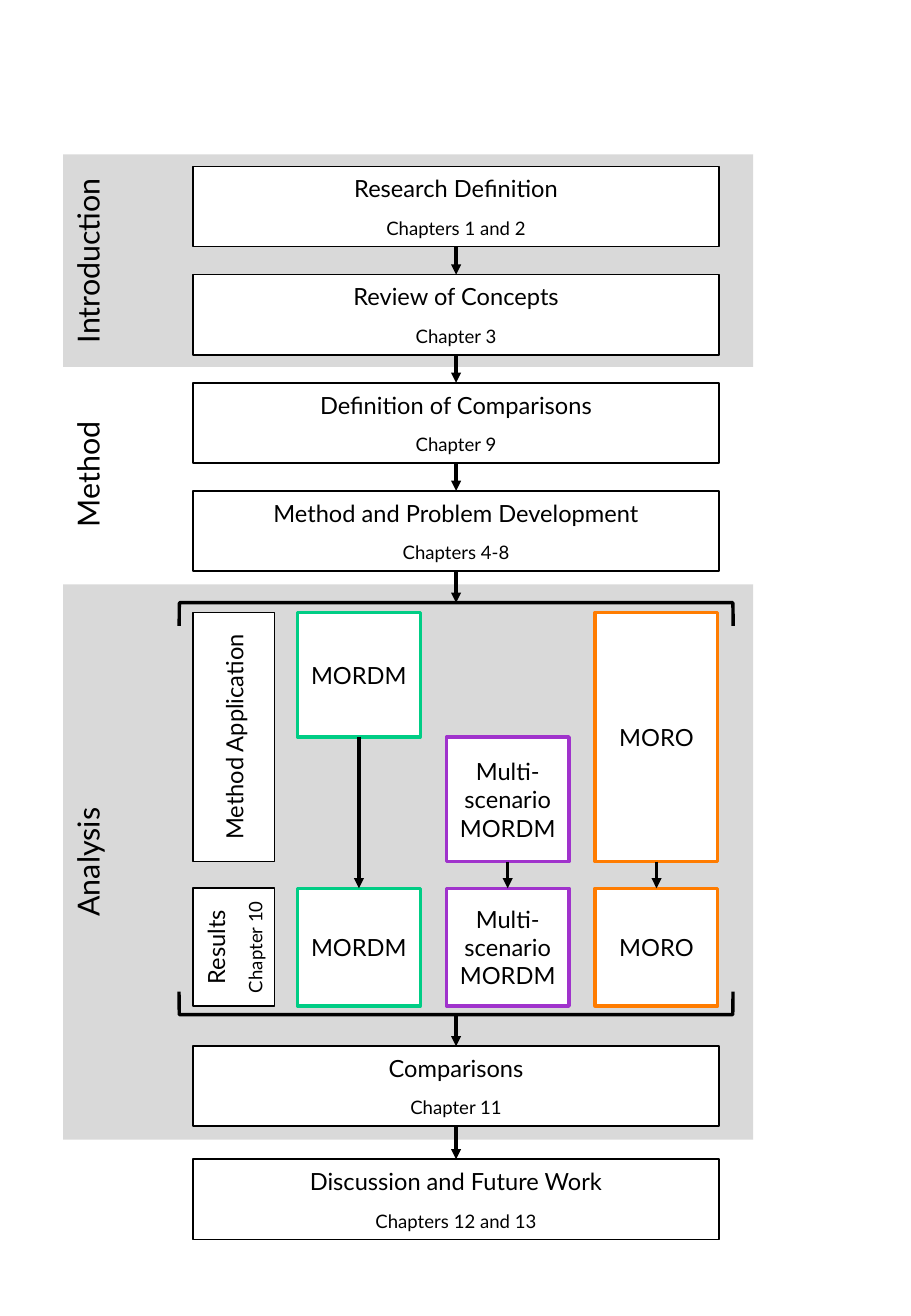
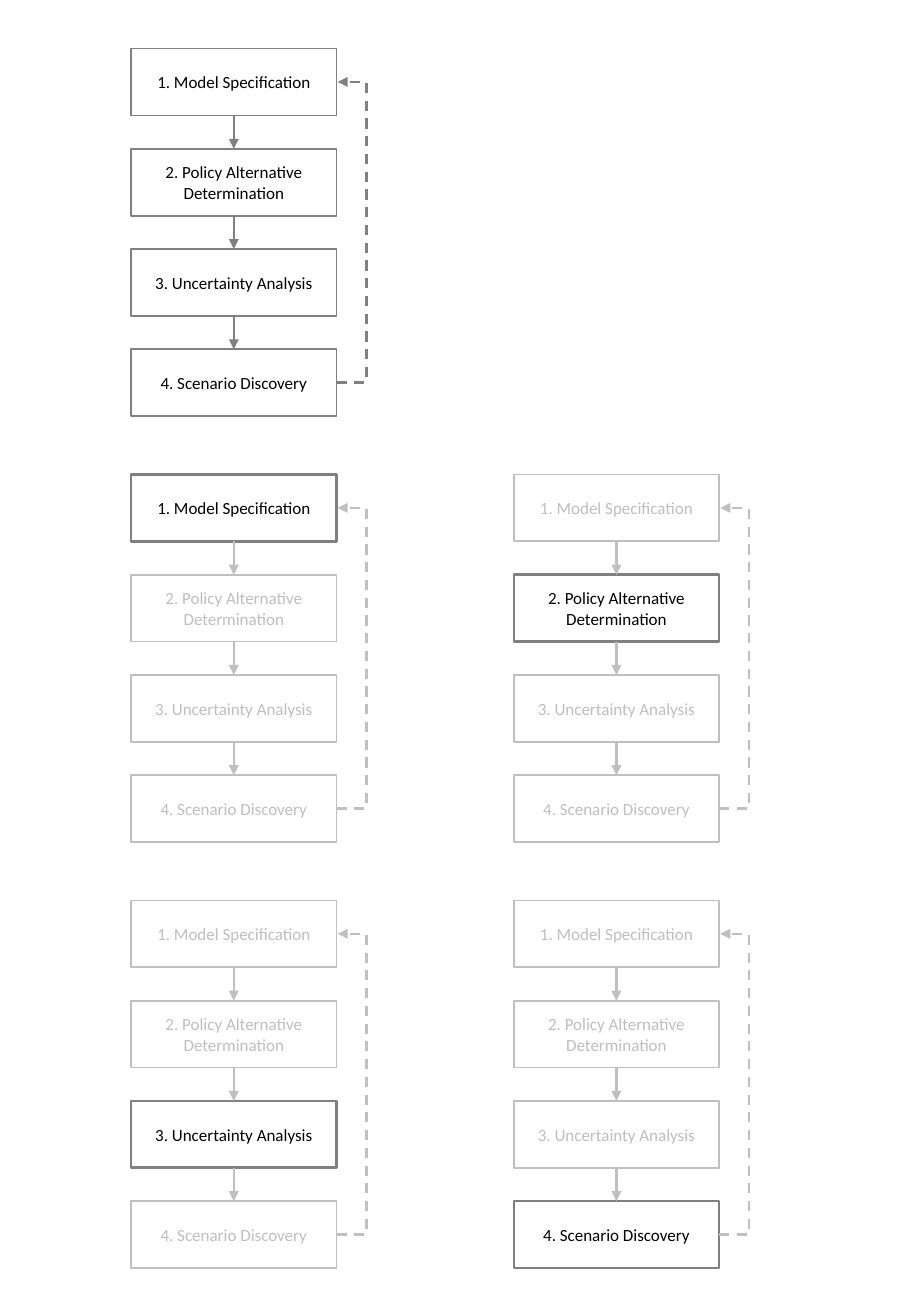
from dataclasses import dataclass

from lxml.etree import SubElement
from pptx import Presentation
from pptx.dml.color import RGBColor
from pptx.enum.dml import MSO_LINE
from pptx.enum.shapes import MSO_CONNECTOR as Route, MSO_SHAPE as Preset
from pptx.enum.text import MSO_ANCHOR as Anchor, PP_ALIGN as Align
from pptx.oxml.ns import qn
from pptx.util import Inches, Pt


@dataclass(frozen=True)
class Theme:
    black: str = "000000"
    white: str = "FFFFFF"
    band: str = "D9D9D9"
    strong: str = "808080"
    pale: str = "BFBFBF"
    mordm: str = "00CD85"
    multi: str = "A033CC"
    moro: str = "FF7C00"
    outline_font: str = "Lato"
    loop_font: str = "Calibri"
    band_size: float = 18
    title_size: float = 14
    chapter_size: float = 11
    step_size: float = 10.1
    chapter_gap: float = 8.4
    thin: float = 1
    medium: float = 1.5
    thick: float = 2


THEME = Theme()
WIDTH, HEIGHT = 7.5, 10.83
TOP, LEFT, BOTTOM, RIGHT = range(4)

STAGE_LEFT, STAGE_WIDTH, STAGE_HEIGHT = 1.59, 4.33, 0.66
STAGE_PITCH = 0.89
MIDDLE = STAGE_LEFT + STAGE_WIDTH / 2
SIDE_WIDTH = 0.67
METHOD_LEFT, METHOD_PITCH, METHOD_WIDTH = 2.45, 1.225, 1.01
APPLICATION_TOP, APPLICATION_HEIGHT = 5.04, 2.05
RESULT_TOP, RESULT_HEIGHT = 7.31, 0.97
BRACKET_WIDTH, BRACKET_DEPTH = 4.56, 0.19
BRACKET_TOP, BRACKET_BOTTOM = 4.96, 8.35

LOOP_LEFT, LOOP_TOP = 1.08, 0.4
LOOP_COLUMN, LOOP_ROW = 3.15, 3.505
STEP_WIDTH, STEP_HEIGHT, STEP_PITCH = 1.69, 0.55, 0.825
RETURN_GAP, RETURN_REACH = 0.01, 0.25

BANDS = [
    ("Method", 3.03, 1.75, THEME.white),
    ("Introduction", 1.27, 1.75, THEME.band),
    ("Analysis", 4.81, 4.57, THEME.band),
]
OPENING = [
    ("Research Definition", "Chapters 1 and 2"),
    ("Review of Concepts", "Chapter 3"),
    ("Definition of Comparisons", "Chapter 9"),
    ("Method and Problem Development", "Chapters 4-8"),
]
CLOSING = [
    ("Comparisons", "Chapter 11"),
    ("Discussion and Future Work", "Chapters 12 and 13"),
]
METHODS = [
    ("MORDM", THEME.mordm, 0, 0.5),
    ("Multi-scenario MORDM", THEME.multi, 0.5, 0.5),
    ("MORO", THEME.moro, 0, 1),
]
STEPS = [
    "1. Model Specification",
    "2. Policy Alternative Determination",
    "3. Uncertainty Analysis",
    "4. Scenario Discovery",
]
LOOPS = [(0, 0, None), (0, 1, 0), (1, 1, 1), (0, 2, 2), (1, 2, 3)]


def add_box(slide, area, fill=THEME.white, border=None, weight=THEME.thin):
    box = slide.shapes.add_shape(Preset.RECTANGLE, *map(Inches, area))
    box.shadow.inherit = False
    box.fill.solid()
    box.fill.fore_color.rgb = RGBColor.from_string(fill)
    if border:
        box.line.color.rgb = RGBColor.from_string(border)
        box.line.width = Pt(weight)
    else:
        box.line.fill.background()
    return box


def write(box, lines, font, color=THEME.black, anchor=Anchor.MIDDLE, upward=False):
    frame = box.text_frame
    frame.word_wrap = True
    frame.vertical_anchor = anchor
    if upward:
        frame._txBody.bodyPr.set("vert", "vert270")
    for index, (words, size) in enumerate(lines):
        paragraph = frame.add_paragraph() if index else frame.paragraphs[0]
        paragraph.text = words
        paragraph.alignment = Align.CENTER
        if index:
            paragraph.space_before = Pt(THEME.chapter_gap)
        paragraph.font.name = font
        paragraph.font.size = Pt(size)
        paragraph.font.color.rgb = RGBColor.from_string(color)


def add_arrow(slide, start, end, color, weight, route=Route.STRAIGHT):
    arrow = slide.shapes.add_connector(route, *map(Inches, (*start, *end)))
    arrow.line.color.rgb = RGBColor.from_string(color)
    arrow.line.width = Pt(weight)
    line = arrow.line._get_or_add_ln()
    SubElement(line, qn("a:tailEnd"), type="triangle")
    SubElement(arrow._element.spPr, qn("a:effectLst"))
    return arrow


def join_down(slide, upper, lower, color=THEME.black, weight=THEME.thick):
    arrow = add_arrow(slide, (0, 0), (0, 0), color, weight)
    arrow.begin_connect(upper, BOTTOM)
    arrow.end_connect(lower, TOP)


def add_return(slide, left, start, end, color):
    arrow = add_arrow(slide, (left, start), (left + RETURN_GAP, end),
                      color, THEME.medium, Route.ELBOW)
    arrow.line.dash_style = MSO_LINE.DASH
    bend = round(RETURN_REACH / RETURN_GAP * 100000)
    guides = arrow._element.spPr.prstGeom.get_or_add_avLst()
    SubElement(guides, qn("a:gd"), name="adj1", fmla=f"val {bend}")


def add_bracket(slide, center, rotation):
    area = (MIDDLE - BRACKET_DEPTH / 2, center - BRACKET_WIDTH / 2,
            BRACKET_DEPTH, BRACKET_WIDTH)
    bracket = slide.shapes.add_shape(Preset.LEFT_BRACKET, *map(Inches, area))
    bracket.adjustments[0] = 0.014
    bracket.rotation = rotation
    bracket.shadow.inherit = False
    bracket.fill.background()
    bracket.line.color.rgb = RGBColor.from_string(THEME.black)
    bracket.line.width = Pt(THEME.thick)


def outline_box(slide, area, title, chapter=None, border=THEME.black,
                weight=THEME.thin, upward=False):
    box = add_box(slide, area, border=border, weight=weight)
    lines = [(title, THEME.title_size)]
    if chapter:
        lines.append((chapter, THEME.chapter_size))
    write(box, lines, THEME.outline_font, upward=upward)
    return box


def add_stages(slide, stages, top, pitch):
    boxes = [
        outline_box(slide, (STAGE_LEFT, top + row * pitch, STAGE_WIDTH, STAGE_HEIGHT),
                    title, chapter)
        for row, (title, chapter) in enumerate(stages)
    ]
    for upper, lower in zip(boxes, boxes[1:]):
        join_down(slide, upper, lower)
    return boxes


def add_methods(slide):
    outline_box(slide, (STAGE_LEFT, APPLICATION_TOP, SIDE_WIDTH, APPLICATION_HEIGHT),
                "Method Application", upward=True)
    outline_box(slide, (STAGE_LEFT, RESULT_TOP, SIDE_WIDTH, RESULT_HEIGHT),
                "Results", "Chapter 10", upward=True)
    for column, (method, color, offset, share) in enumerate(METHODS):
        left = METHOD_LEFT + column * METHOD_PITCH
        application = outline_box(
            slide,
            (left, APPLICATION_TOP + offset * APPLICATION_HEIGHT,
             METHOD_WIDTH, share * APPLICATION_HEIGHT),
            method, border=color, weight=THEME.thick)
        result = outline_box(slide, (left, RESULT_TOP, METHOD_WIDTH, RESULT_HEIGHT),
                             method, border=color, weight=THEME.thick)
        join_down(slide, application, result)


def build_outline(slide):
    for label, top, height, fill in BANDS:
        band = add_box(slide, (0.52, top, 5.68, height), fill)
        write(band, [(label, THEME.band_size)], THEME.outline_font,
              anchor=Anchor.TOP, upward=True)
    opening = add_stages(slide, OPENING, 1.37, STAGE_PITCH)
    add_methods(slide)
    closing = add_stages(slide, CLOSING, 8.61, 0.93)
    add_bracket(slide, BRACKET_TOP + BRACKET_DEPTH / 2, 90)
    add_bracket(slide, BRACKET_BOTTOM - BRACKET_DEPTH / 2, 270)
    into_analysis = add_arrow(slide, (MIDDLE, 4.7), (MIDDLE, BRACKET_TOP),
                              THEME.black, THEME.thick)
    into_analysis.begin_connect(opening[-1], BOTTOM)
    out_of_methods = add_arrow(slide, (MIDDLE, BRACKET_BOTTOM), (MIDDLE, 8.61),
                               THEME.black, THEME.thick)
    out_of_methods.end_connect(closing[0], TOP)


def add_loop(slide, left, top, focus):
    flow_color = THEME.strong if focus is None else THEME.pale
    boxes = []
    for row, step in enumerate(STEPS):
        active = focus is None or row == focus
        box = add_box(slide, (left, top + row * STEP_PITCH, STEP_WIDTH, STEP_HEIGHT),
                      border=THEME.strong if active else THEME.pale,
                      weight=THEME.medium if row == focus else THEME.thin)
        frame = box.text_frame
        frame.margin_left = frame.margin_right = Inches(0.06)
        frame.margin_top = frame.margin_bottom = Inches(0.03)
        write(box, [(step, THEME.step_size)], THEME.loop_font,
              THEME.black if active else THEME.pale)
        boxes.append(box)
    for upper, lower in zip(boxes, boxes[1:]):
        join_down(slide, upper, lower, flow_color, THEME.medium)
    first = top + STEP_HEIGHT / 2
    last = first + (len(STEPS) - 1) * STEP_PITCH
    add_return(slide, left + STEP_WIDTH, last, first, flow_color)


def build_loops(slide):
    for column, row, focus in LOOPS:
        add_loop(slide, LOOP_LEFT + column * LOOP_COLUMN,
                 LOOP_TOP + row * LOOP_ROW, focus)


def main():
    deck = Presentation()
    deck.slide_width, deck.slide_height = Inches(WIDTH), Inches(HEIGHT)
    blank = deck.slide_layouts[6]
    for build in (build_outline, build_loops):
        build(deck.slides.add_slide(blank))
    deck.save("out.pptx")


if __name__ == "__main__":
    main()
